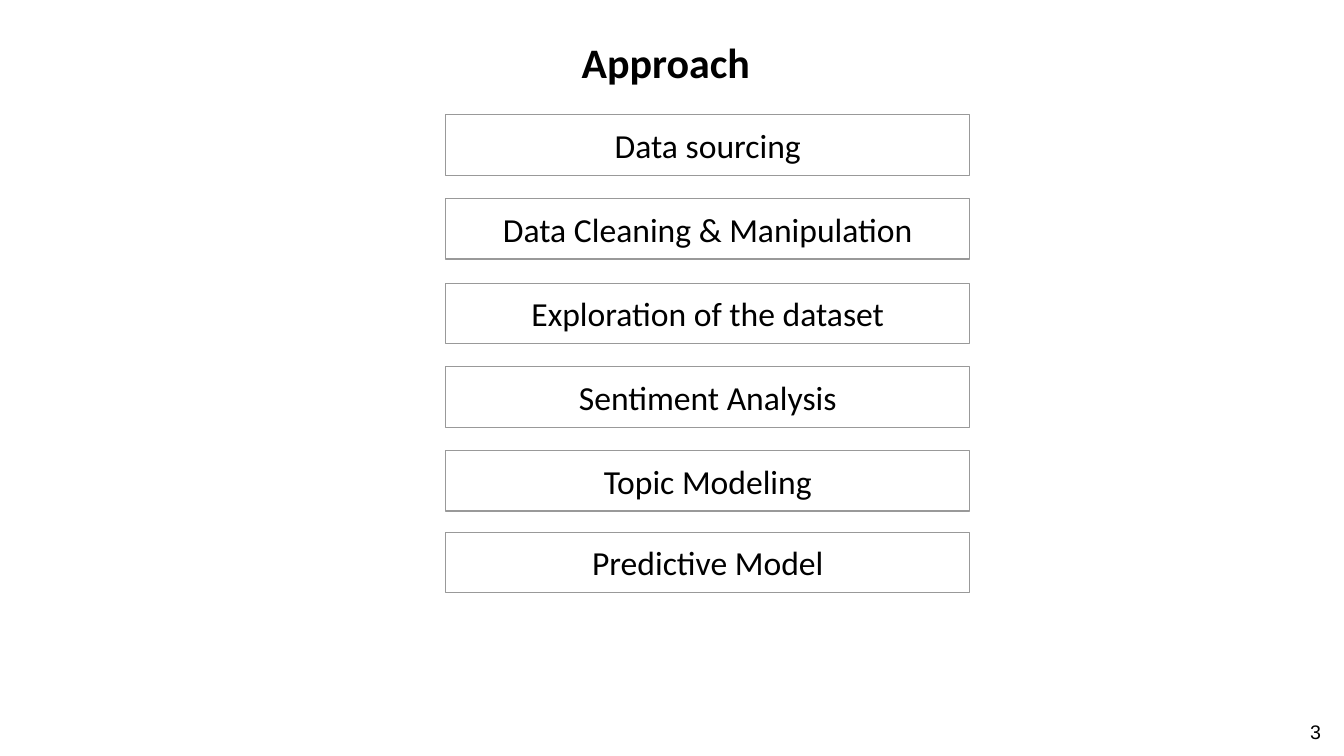
"""Build the Approach slide: a title above a column of six project steps."""
from dataclasses import dataclass

from pptx import Presentation
from pptx.dml.color import RGBColor
from pptx.enum.shapes import MSO_SHAPE
from pptx.enum.text import MSO_ANCHOR, MSO_AUTO_SIZE, PP_ALIGN
from pptx.slide import Slide
from pptx.text.text import TextFrame
from pptx.util import Inches, Pt

RECTANGLE = MSO_SHAPE.RECTANGLE
TOP, MIDDLE = MSO_ANCHOR.TOP, MSO_ANCHOR.MIDDLE
CENTER, RIGHT = PP_ALIGN.CENTER, PP_ALIGN.RIGHT
NO_AUTOFIT = MSO_AUTO_SIZE.NONE

BLACK, WHITE, GRAY = "000000", "FFFFFF", "999999"
STEP_LEFT, STEP_WIDTH, STEP_HEIGHT = 4.42, 5.2, 0.6


@dataclass
class Step:
    text: str
    top: float


@dataclass
class TextStyle:
    font: str
    size: int
    align: PP_ALIGN
    anchor: MSO_ANCHOR
    bold: bool = False
    vertical_inset: float = 0.05


TITLE_STYLE = TextStyle("Calibri", 30, CENTER, TOP, bold=True)
STEP_STYLE = TextStyle("Calibri", 24, CENTER, MIDDLE, vertical_inset=0.1)
NUMBER_STYLE = TextStyle("Arial", 14, RIGHT, MIDDLE)

STEPS = [
    Step("Data sourcing", 1.14),
    Step("Data Cleaning & Manipulation", 1.97),
    Step("Exploration of the dataset", 2.81),
    Step("Sentiment Analysis", 3.64),
    Step("Topic Modeling", 4.47),
    Step("Predictive Model", 5.28),
]


def color(value: str) -> RGBColor:
    return RGBColor.from_string(value)


def write_text(frame: TextFrame, text: str, style: TextStyle) -> None:
    frame.text = text
    frame.word_wrap = True
    frame.auto_size = NO_AUTOFIT
    frame.vertical_anchor = style.anchor
    frame.margin_left = frame.margin_right = Inches(0.1)
    frame.margin_top = frame.margin_bottom = Inches(style.vertical_inset)
    paragraph = frame.paragraphs[0]
    paragraph.alignment = style.align
    paragraph.space_before = Pt(0)
    paragraph.font.name = style.font
    paragraph.font.size = Pt(style.size)
    paragraph.font.bold = style.bold
    paragraph.font.color.rgb = color(BLACK)


def place_title(slide: Slide, text: str) -> None:
    title = slide.shapes.title
    title.left, title.top = Inches(0.53), Inches(0.31)
    title.width, title.height = Inches(12.15), Inches(0.59)
    write_text(title.text_frame, text, TITLE_STYLE)


def add_step(slide: Slide, step: Step) -> None:
    box = slide.shapes.add_shape(
        RECTANGLE, Inches(STEP_LEFT), Inches(step.top), Inches(STEP_WIDTH), Inches(STEP_HEIGHT)
    )
    box.shadow.inherit = False
    box.fill.solid()
    box.fill.fore_color.rgb = color(WHITE)
    box.line.color.rgb = color(GRAY)
    box.line.width = Pt(0.75)
    write_text(box.text_frame, step.text, STEP_STYLE)


def add_page_number(slide: Slide, number: str) -> None:
    box = slide.shapes.add_textbox(Inches(12.76), Inches(7.09), Inches(0.44), Inches(0.33))
    write_text(box.text_frame, number, NUMBER_STYLE)


def main() -> None:
    deck = Presentation()
    deck.slide_width, deck.slide_height = Inches(13.33), Inches(7.5)
    slide = deck.slides.add_slide(deck.slide_layouts.get_by_name("Title Only"))
    place_title(slide, "Approach")
    for step in STEPS:
        add_step(slide, step)
    add_page_number(slide, "3")
    deck.save("out.pptx")


if __name__ == "__main__":
    main()
